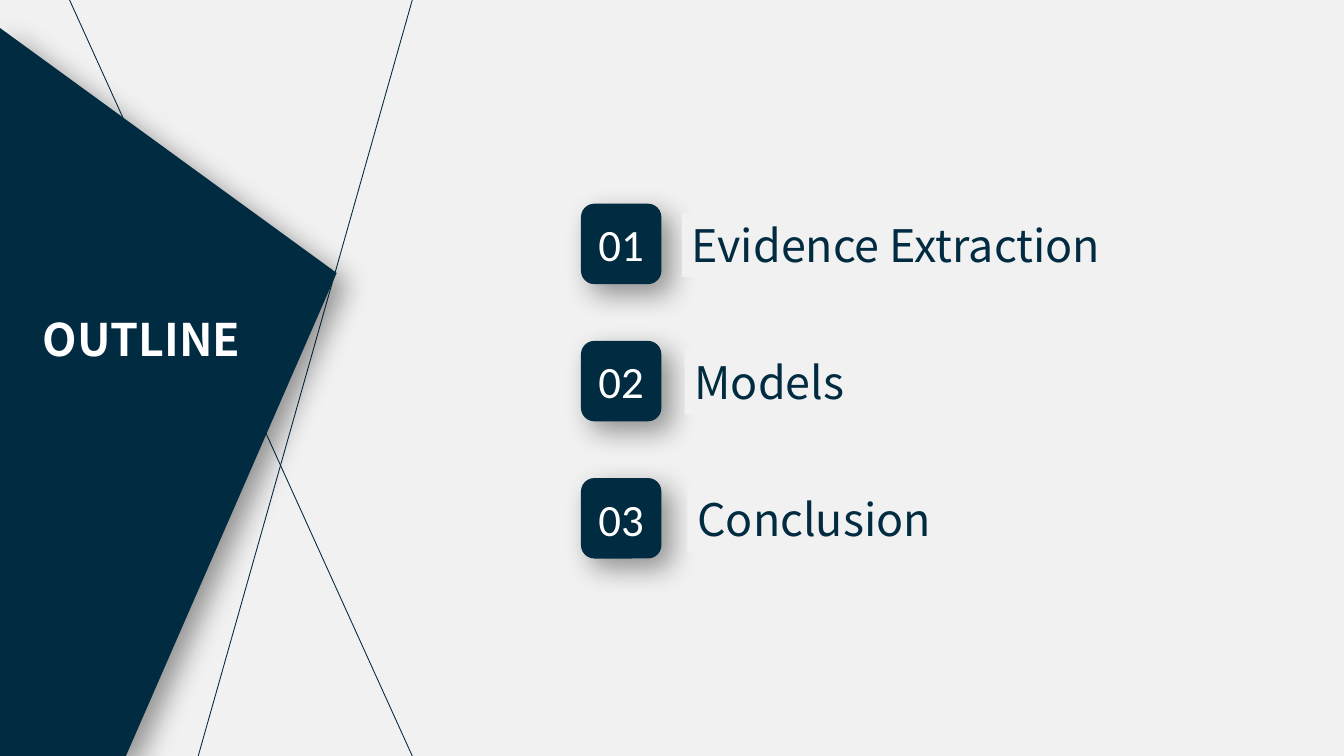
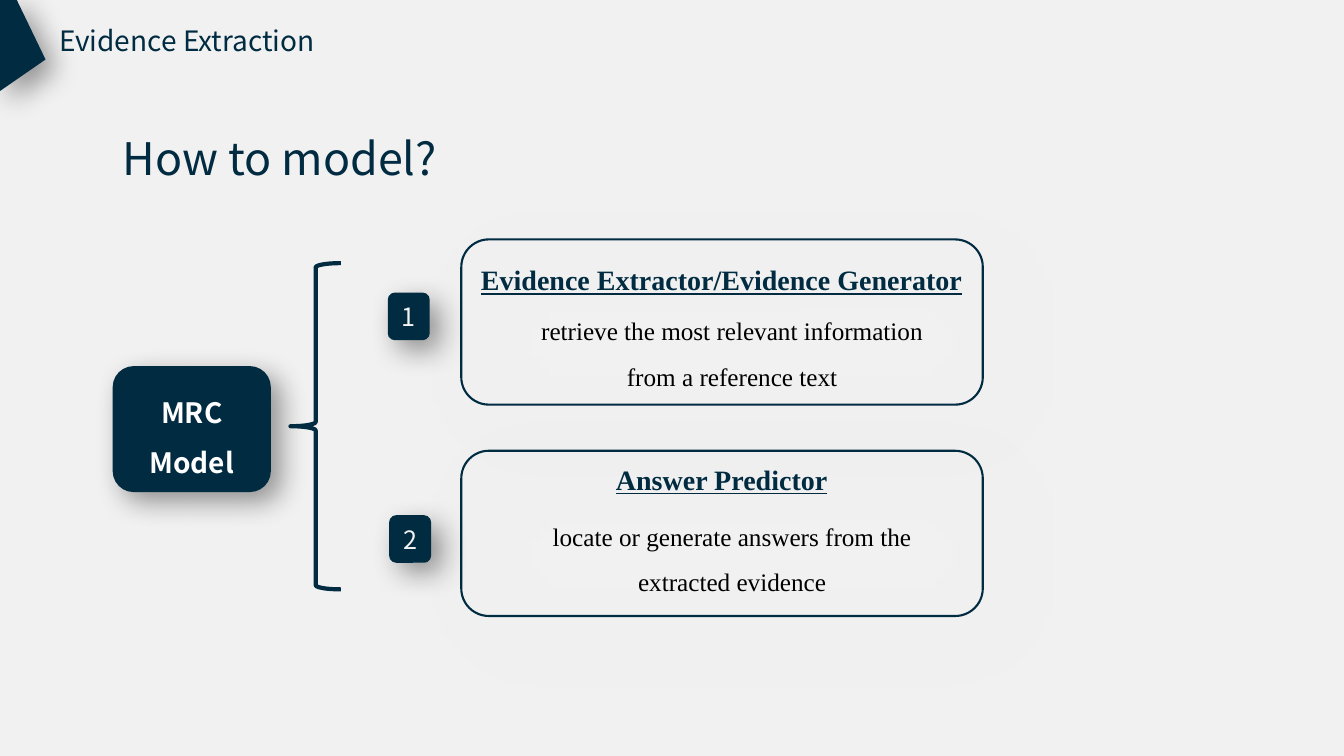
"""Build an outline slide and a model overview slide in one shared style."""
from lxml import etree
from pptx import Presentation
from pptx.dml.color import RGBColor
from pptx.enum.shapes import MSO_CONNECTOR, MSO_SHAPE
from pptx.enum.text import MSO_ANCHOR, MSO_AUTO_SIZE, PP_ALIGN
from pptx.oxml.ns import qn
from pptx.util import Pt

ROUND, RECT, BRACE = MSO_SHAPE.ROUNDED_RECTANGLE, MSO_SHAPE.RECTANGLE, MSO_SHAPE.LEFT_BRACE
STRAIGHT = MSO_CONNECTOR.STRAIGHT
TOP, MIDDLE = MSO_ANCHOR.TOP, MSO_ANCHOR.MIDDLE
LEFT, CENTER = PP_ALIGN.LEFT, PP_ALIGN.CENTER
NO_FIT = MSO_AUTO_SIZE.NONE

NAVY, PAPER, WHITE, PALE, BLACK = "002B41", "F1F1F1", "FFFFFF", "F2F2F2", "000000"
SANS, SERIF, DIGITS = "Noto Sans CJK SC", "Times New Roman", "Calibri"
DEEP = (BLACK, 40, 20, 10)
SOFT = ("808080", 20, 50, 20)
rgb = RGBColor.from_string


def style(sp, fill=None, line=None, width=0, shadow=None):
    """Set fill, outline and shadow, given as colour, opacity, blur and distance."""
    if fill:
        sp.fill.solid()
        sp.fill.fore_color.rgb = rgb(fill)
    else:
        sp.fill.background()
    if line:
        sp.line.color.rgb = rgb(line)
        sp.line.width = Pt(width)
    else:
        sp.line.fill.background()
    sp.shadow.inherit = False
    if shadow:
        color, opacity, blur, dist = shadow
        effects = sp.element.spPr.find(qn("a:effectLst"))
        outer = etree.SubElement(effects, qn("a:outerShdw"), blurRad=str(Pt(blur)),
                                 dist=str(Pt(dist)), dir="2700000", algn="tl", rotWithShape="0")
        clr = etree.SubElement(outer, qn("a:srgbClr"), val=color)
        etree.SubElement(clr, qn("a:alpha"), val=str(opacity * 1000))


def write(sp, text, size, color=NAVY, font=SANS, align=LEFT, anchor=TOP,
          bold=False, underline=False, spacing=1.0):
    """Fill a shape with evenly formatted paragraphs."""
    tf = sp.text_frame
    tf.text = text
    tf.word_wrap = True
    tf.auto_size = NO_FIT
    tf.vertical_anchor = anchor
    for p in tf.paragraphs:
        p.alignment = align
        p.line_spacing = spacing
        p.font.name, p.font.size, p.font.bold = font, Pt(size), bold
        p.font.underline = underline
        p.font.color.rgb = rgb(color)


prs = Presentation()
prs.slide_width, prs.slide_height = Pt(960), Pt(540)
bg = prs.slide_master.background.fill
bg.solid()
bg.fore_color.rgb = rgb(PAPER)

slides = [
    ("OUTLINE", (17, 219, 168.5, 46), dict(size=32, color=WHITE, align=CENTER, bold=True),
     [(90, 540), (0, 540), (0, 20), (240.5, 195)], [(294.5, 0, 141.6, 540), (294.5, 540, 49.7, 0)]),
    ("Evidence Extraction", (35, 13.5, 260, 32), dict(size=20),
     [(12, 0), (0, 0), (0, 65), (32.5, 42.5)], []),
]
for title, box, look, corners, lines in slides:
    s = prs.slides.add_slide(prs.slide_layouts[5])
    for x1, y1, x2, y2 in lines:
        line = s.shapes.add_connector(STRAIGHT, Pt(x1), Pt(y1), Pt(x2), Pt(y2))
        line.line.color.rgb = rgb(NAVY)
        line.line.width = Pt(0.63)
        etree.SubElement(line.element.spPr, qn("a:effectLst"))
    points = [(Pt(x), Pt(y)) for x, y in corners]
    outline = s.shapes.build_freeform(*points[0])
    outline.add_line_segments(points[1:])
    wedge = outline.convert_to_shape()
    style(wedge, NAVY, shadow=DEEP)
    sp = s.shapes.title
    sp.left, sp.top, sp.width, sp.height = map(Pt, box)
    write(sp, title, **look)
    wedge.element.addnext(sp.element)

outline_slide, model_slide = prs.slides

s = outline_slide
for i, (topic, width) in enumerate([("Evidence Extraction", 359), ("Models", 228), ("Conclusion", 228)]):
    top = 145.5 + 98 * i
    tile = s.shapes.add_shape(ROUND, Pt(415), Pt(top), Pt(57.5), Pt(57.5))
    style(tile, NAVY, shadow=DEEP)
    write(tile, f"{i + 1:02}", 32, WHITE, DIGITS, CENTER, MIDDLE)
    label = s.shapes.add_shape(RECT, Pt(487 + 2 * i), Pt(top + 6.5), Pt(width), Pt(46))
    style(label, PAPER)
    write(label, topic, 32)

s = model_slide
question = s.shapes.add_textbox(Pt(80.5), Pt(90), Pt(731), Pt(46))
write(question, "How to model?", 32)

model = s.shapes.add_shape(ROUND, Pt(80.5), Pt(261.5), Pt(113), Pt(90))
style(model, NAVY, shadow=DEEP)
write(model, "MRC\nModel", 20, WHITE, align=CENTER, anchor=MIDDLE, bold=True, spacing=1.5)

brace = s.shapes.add_shape(BRACE, Pt(207.5), Pt(188), Pt(36), Pt(233))
style(brace, line=NAVY, width=3)

stages = [
    (171, 209, 177, 211, "Evidence Extractor/Evidence Generator",
     "retrieve the most relevant information from a reference text"),
    (322, 368, 319.5, 358, "Answer Predictor",
     "locate or generate answers from the extracted evidence"),
]
for i, (panel_top, tile_top, head_top, body_top, heading, body) in enumerate(stages):
    panel = s.shapes.add_shape(ROUND, Pt(329.5), Pt(panel_top), Pt(372.5), Pt(118))
    style(panel, line=NAVY, width=1.5, shadow=SOFT)
    tile = s.shapes.add_shape(ROUND, Pt(277 + i), Pt(tile_top), Pt(30), Pt(34))
    style(tile, NAVY, shadow=DEEP)
    write(tile, str(i + 1), 18, PALE, align=CENTER, anchor=MIDDLE)
    sp = s.shapes.add_textbox(Pt(328), Pt(head_top), Pt(375), Pt(35))
    write(sp, heading, 20, font=SERIF, align=CENTER, bold=True, underline=True, spacing=1.3)
    sp = s.shapes.add_textbox(Pt(379), Pt(body_top), Pt(288), Pt(69))
    write(sp, body, 18, BLACK, SERIF, CENTER, spacing=1.5)

prs.save("out.pptx")
